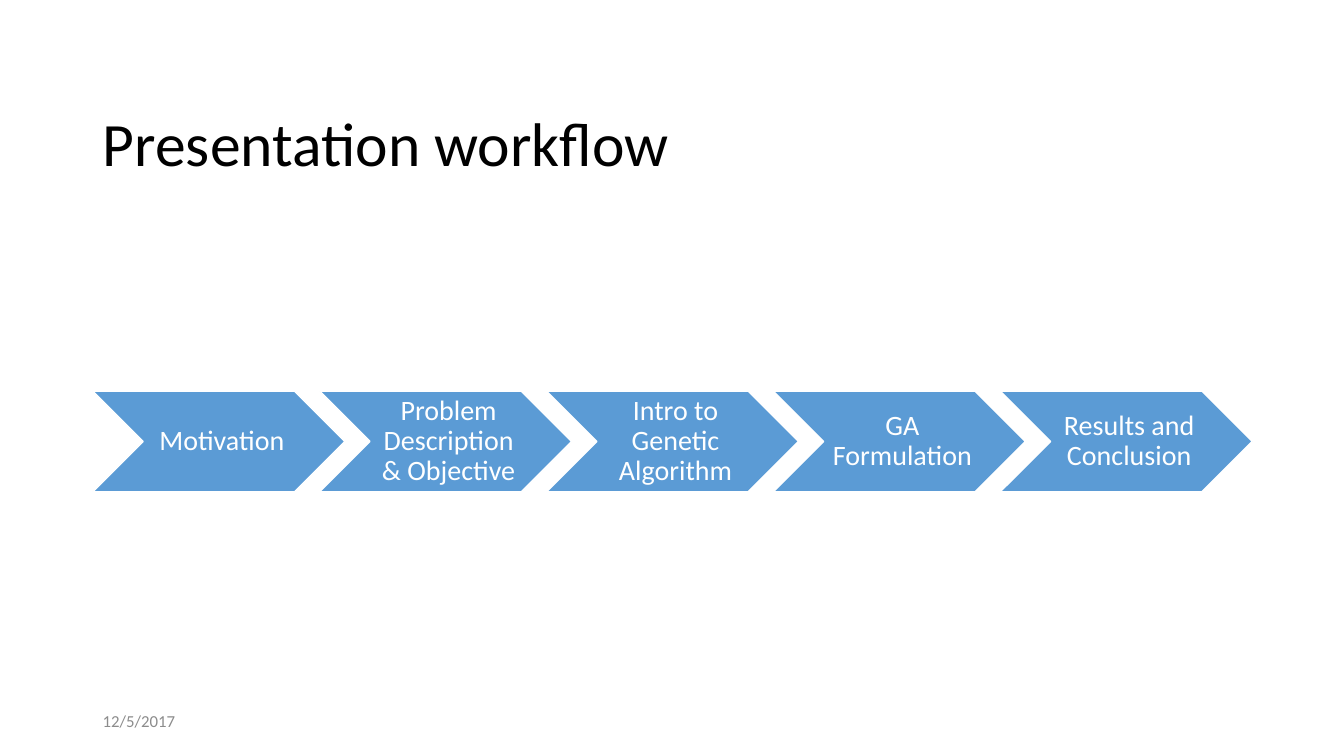
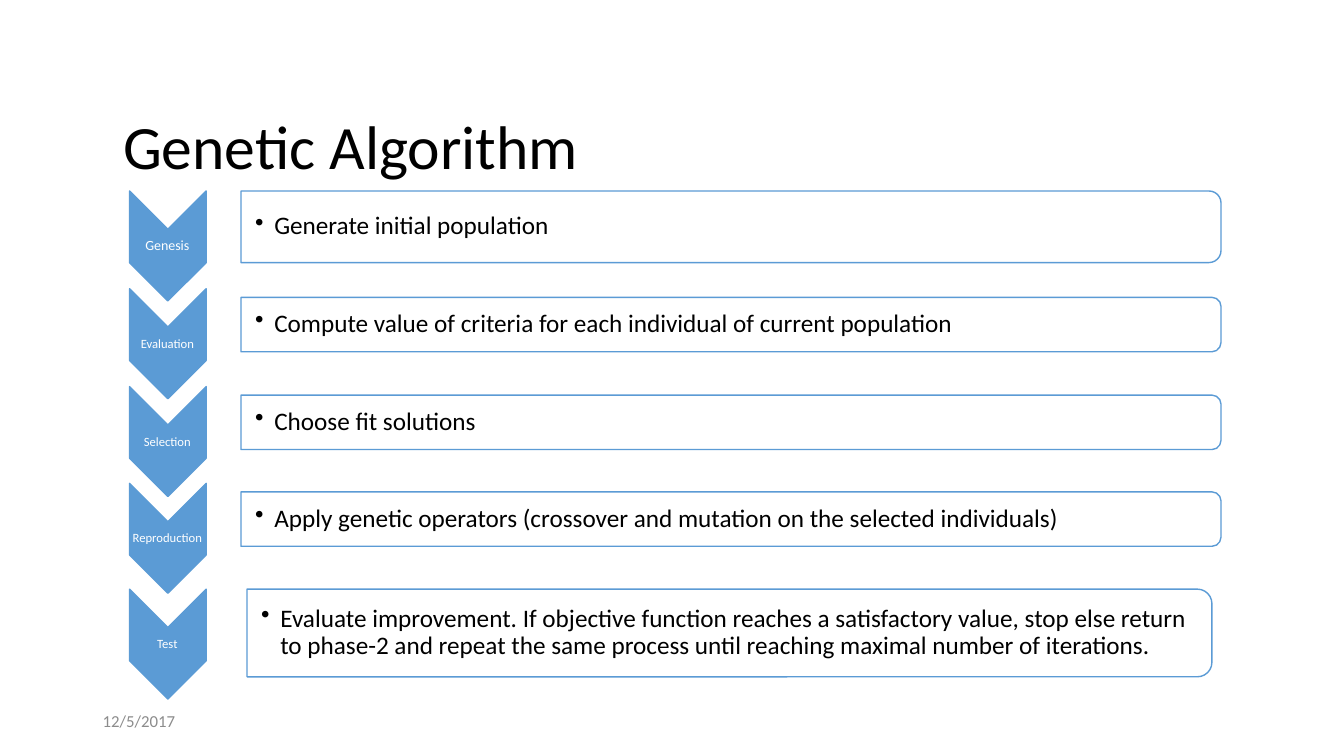
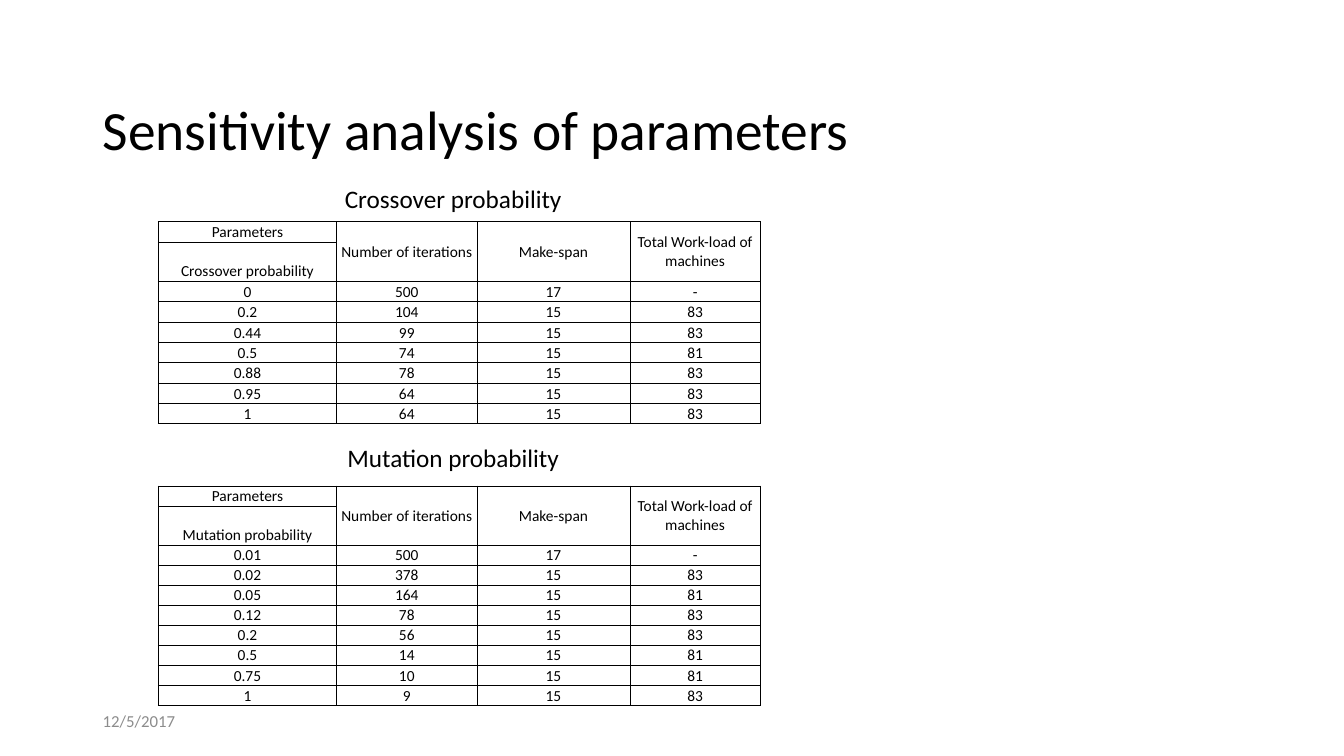
"""Build three slides on a genetic algorithm: workflow, phases and sensitivity."""
from dataclasses import dataclass

from lxml import etree
from pptx import Presentation
from pptx import util as u
from pptx.dml import color as dml
from pptx.enum import shapes as kinds, text as txt
from pptx.oxml import ns


@dataclass(frozen=True)
class Theme:
    font: str = "Calibri"
    ink: str = "000000"
    paper: str = "FFFFFF"
    blue: str = "5B9BD5"
    gray: str = "8C8C8C"
    title: float = 44
    tight: float = 39.6
    step: float = 20
    body: float = 18
    date: float = 12
    cell: float = 11
    lines: float = 0.9


@dataclass(frozen=True)
class Box:
    left: float
    top: float
    width: float
    height: float

    def emu(self) -> tuple:
        return tuple(u.Inches(n) for n in (self.left, self.top, self.width, self.height))


@dataclass(frozen=True)
class Style:
    size: float
    color: str
    align: txt.PP_ALIGN = txt.PP_ALIGN.LEFT
    anchor: txt.MSO_ANCHOR = txt.MSO_ANCHOR.MIDDLE
    inset: tuple = (0.1, 0.05, 0.1, 0.05)
    lines: float | None = None


@dataclass(frozen=True)
class Phase:
    name: str
    note: str
    top: float
    mid: float
    depth: float
    span: float = 9.72
    left: float = 2.39
    size: float = 9


@dataclass(frozen=True)
class Trial:
    name: str
    label: float
    top: float
    height: float
    rows: tuple


T = Theme()
CENTER = txt.PP_ALIGN.CENTER
TOP, MIDDLE, BOTTOM = txt.MSO_ANCHOR.TOP, txt.MSO_ANCHOR.MIDDLE, txt.MSO_ANCHOR.BOTTOM

STEPS = ("Motivation", "Problem Description & Objective", "Intro to Genetic Algorithm",
         "GA Formulation", "Results and Conclusion")
PHASES = (
    Phase("Genesis", "Generate initial population", 2.06, 2.25, 0.71, size=10),
    Phase("Evaluation", "Compute value of criteria for each individual of current population",
          3.03, 3.22, 0.54),
    Phase("Selection", "Choose fit solutions", 4, 4.19, 0.54),
    Phase("Reproduction",
          "Apply genetic operators (crossover and mutation on the selected individuals)",
          4.96, 5.15, 0.54),
    Phase("Test", "Evaluate improvement. If objective function reaches a satisfactory value, "
          "stop else return to phase-2 and repeat the same process until reaching maximal "
          "number of iterations.", 6.01, 6.28, 0.87, 9.57, 2.45),
)
HEADS = ("Parameters", "Number of iterations", "Make-span", "Total Work-load of machines")
WIDTHS = (1.77, 1.39, 1.52, 1.29)
TRIALS = (
    Trial("Mutation probability", 4.34, 4.82, 1.94, (
        ("0.01", "500", "17", "-"), ("0.02", "378", "15", "83"),
        ("0.05", "164", "15", "81"), ("0.12", "78", "15", "83"),
        ("0.2", "56", "15", "83"), ("0.5", "14", "15", "81"),
        ("0.75", "10", "15", "81"), ("1", "9", "15", "83"))),
    Trial("Crossover probability", 1.77, 2.2, 1.82, (
        ("0", "500", "17", "-"), ("0.2", "104", "15", "83"),
        ("0.44", "99", "15", "83"), ("0.5", "74", "15", "81"),
        ("0.88", "78", "15", "83"), ("0.95", "64", "15", "83"),
        ("1", "64", "15", "83"))),
)


def rgb(code: str) -> dml.RGBColor:
    return dml.RGBColor.from_string(code)


def write(frame, words: str, style: Style) -> None:
    frame.text = words
    para = frame.paragraphs[0]
    para.alignment = style.align
    if style.lines:
        para.line_spacing = style.lines
    for run in para.runs:
        run.font.name = T.font
        run.font.size = u.Pt(style.size)
        run.font.color.rgb = rgb(style.color)


def place(holder, words: str, style: Style) -> None:
    frame = holder.text_frame
    frame.word_wrap = True
    frame.auto_size = txt.MSO_AUTO_SIZE.NONE
    frame.vertical_anchor = style.anchor
    (frame.margin_left, frame.margin_top,
     frame.margin_right, frame.margin_bottom) = map(u.Inches, style.inset)
    write(frame, words, style)


def label(slide, words: str, box: Box, style: Style):
    item = slide.shapes.add_textbox(*box.emu())
    place(item, words, style)
    return item


def block(slide, kind: kinds.MSO_SHAPE, box: Box, fill: str, line: str, turn: float = 0):
    item = slide.shapes.add_shape(kind, *box.emu())
    item.shadow.inherit = False
    item.rotation = turn
    item.fill.solid()
    item.fill.fore_color.rgb = rgb(fill)
    item.line.color.rgb = rgb(line)
    item.line.width = u.Pt(1)
    return item


def start(deck, words: str, box: Box, size: float = T.title):
    slide = deck.slides.add_slide(deck.slide_layouts[5])
    title = slide.shapes.title
    title.left, title.top, title.width, title.height = box.emu()
    place(title, words, Style(size, T.ink, lines=T.lines))
    label(slide, "12/5/2017", Box(0.92, 6.95, 3, 0.4), Style(T.date, T.gray))
    return slide


def fade(item, share: int) -> None:
    tone = item.fill._xPr.find(".//" + ns.qn("a:srgbClr"))
    etree.SubElement(tone, ns.qn("a:alpha")).set("val", str(share * 1000))


def bullet(para, indent: float) -> None:
    props = para._p.get_or_add_pPr()
    props.set("marL", str(u.Inches(indent)))
    props.set("indent", str(-u.Inches(indent)))
    etree.SubElement(props, ns.qn("a:buChar")).set("char", "•")


def edge(cell) -> None:
    props = cell._tc.get_or_add_tcPr()
    for spot, side in enumerate(("lnL", "lnR", "lnT", "lnB")):
        line = etree.Element(ns.qn("a:" + side), w=str(u.Pt(0.5)))
        fill = etree.SubElement(line, ns.qn("a:solidFill"))
        etree.SubElement(fill, ns.qn("a:srgbClr")).set("val", T.ink)
        props.insert(spot, line)


def flow(deck) -> None:
    slide = start(deck, "Presentation workflow", Box(0.92, 1.05, 11.5, 0.8))
    style = Style(T.step, T.paper, CENTER, inset=(0.09, 0.03, 0.03, 0.03), lines=T.lines)
    for spot, name in enumerate(STEPS):
        left = 0.92 + 2.25 * spot
        block(slide, kinds.MSO_SHAPE.CHEVRON, Box(left, 3.88, 2.5, 1), T.blue, T.paper)
        label(slide, name, Box(left + 0.5, 3.88, 1.5, 1), style)


def stage(slide, phase: Phase) -> None:
    block(slide, kinds.MSO_SHAPE.CHEVRON, Box(1.12, phase.top, 1.09, 0.76),
          T.blue, T.blue, 90)
    label(slide, phase.name, Box(1.28, phase.top + 0.22, 0.76, 0.33),
          Style(phase.size, T.paper, CENTER, inset=(0.01,) * 4, lines=T.lines))
    turned = Box(phase.left + (phase.span - phase.depth) / 2, phase.mid - phase.span / 2,
                 phase.depth, phase.span)
    panel = block(slide, kinds.MSO_SHAPE.ROUND_2_SAME_RECTANGLE, turned, T.paper, T.blue, 90)
    fade(panel, 90)
    tall = phase.depth * 0.91
    note = label(slide, phase.note,
                 Box(phase.left, phase.mid - tall / 2, phase.span - 0.03, tall),
                 Style(T.body, T.ink, inset=(0.14, 0.01, 0.01, 0.01), lines=T.lines))
    bullet(note.text_frame.paragraphs[0], 0.19)


def cycle(deck) -> None:
    slide = start(deck, "Genetic Algorithm", Box(1.12, 1.07, 11.5, 0.83))
    for phase in PHASES:
        stage(slide, phase)


def grid(slide, trial: Trial) -> None:
    data = (HEADS, (trial.name, "", "", "")) + trial.rows
    box = Box(1.57, trial.top, sum(WIDTHS), trial.height)
    table = slide.shapes.add_table(len(data), len(HEADS), *box.emu()).table
    table.first_row = table.horz_banding = False
    for col, width in zip(table.columns, WIDTHS):
        col.width = u.Inches(width)
    for row, words in enumerate(data):
        table.rows[row].height = u.Inches(trial.height / len(data))
        for col, word in enumerate(words):
            cell = table.cell(row, col)
            cell.margin_left = cell.margin_right = cell.margin_top = u.Inches(0.01)
            cell.margin_bottom = 0
            cell.vertical_anchor = MIDDLE if row == 2 or (row < 2 and col) else BOTTOM
            write(cell.text_frame, word, Style(T.cell, T.ink, CENTER))
            cell.fill.background()
            edge(cell)
    for col in range(1, len(HEADS)):
        table.cell(0, col).merge(table.cell(1, col))


def study(deck) -> None:
    slide = start(deck, "Sensitivity analysis of parameters", Box(0.92, 0.94, 11.5, 0.74),
                  T.tight)
    for trial in TRIALS:
        label(slide, trial.name, Box(1.44, trial.label, 6.11, 0.4),
              Style(T.body, T.ink, CENTER, TOP))
        grid(slide, trial)


def main() -> None:
    deck = Presentation()
    deck.slide_width, deck.slide_height = u.Inches(13.33), u.Inches(7.5)
    for draw in (flow, cycle, study):
        draw(deck)
    deck.save("out.pptx")


main()
